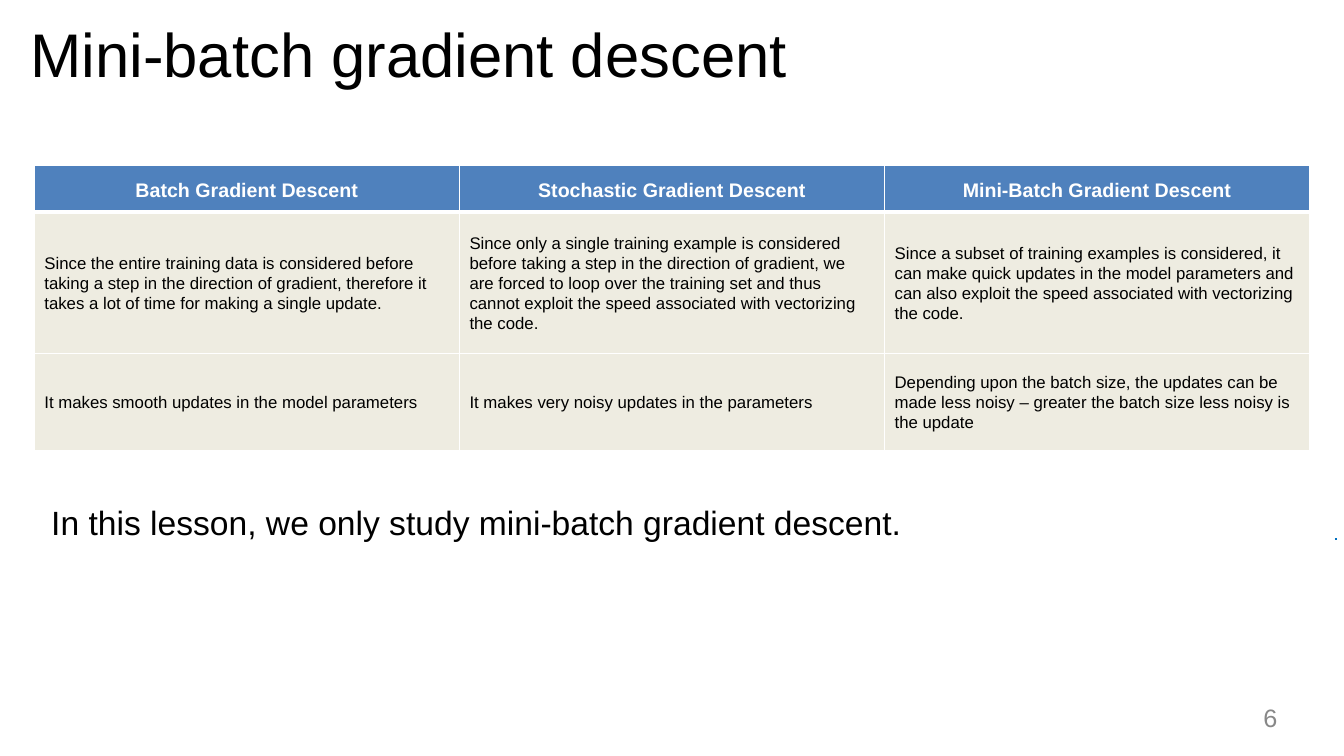
from lxml import etree
from pptx import Presentation
from pptx.dml.color import RGBColor
from pptx.enum.shapes import MSO_CONNECTOR
from pptx.enum.text import MSO_ANCHOR, PP_ALIGN
from pptx.oxml.ns import qn
from pptx.util import Inches, Pt

LEFT, CENTER, RIGHT = PP_ALIGN.LEFT, PP_ALIGN.CENTER, PP_ALIGN.RIGHT
BOTTOM, MIDDLE = MSO_ANCHOR.BOTTOM, MSO_ANCHOR.MIDDLE
STRAIGHT = MSO_CONNECTOR.STRAIGHT

SLIDE_WIDTH, SLIDE_HEIGHT = 13.33, 7.5
FONT = "Arial"
COLORS = {"text": "000000", "number": "888888", "header": "4F81BD",
          "body": "EEECE1", "white": "FFFFFF", "mark": "0070C0"}
ROW_HEIGHTS = [0.46, 1.41, 0.96]
COMPARISON = [
    ["Batch Gradient Descent", "Stochastic Gradient Descent",
     "Mini-Batch Gradient Descent"],
    ["Since the entire training data is considered before taking a step in the "
     "direction of gradient, therefore it takes a lot of time for making a single update.",
     "Since only a single training example is considered before taking a step in the "
     "direction of gradient, we are forced to loop over the training set and thus "
     "cannot exploit the speed associated with vectorizing the code.",
     "Since a subset of training examples is considered, it can make quick updates in "
     "the model parameters and can also exploit the speed associated with vectorizing "
     "the code."],
    ["It makes smooth updates in the model parameters",
     "It makes very noisy updates in the parameters",
     "Depending upon the batch size, the updates can be made less noisy – greater the "
     "batch size less noisy is the update"],
]


def write_text(frame, text, size, color="text", bold=False, align=LEFT, spacing=None):
    paragraph = frame.paragraphs[0]
    paragraph.alignment = align
    paragraph.line_spacing = spacing
    run = paragraph.add_run()
    run.text = text
    run.font.name = FONT
    run.font.size = Pt(size)
    run.font.bold = bold
    run.font.color.rgb = RGBColor.from_string(COLORS[color])


def add_text_box(slide, box, text, size, margins=(0, 0), **text_format):
    """Place text in box (left, top, width, height); margins are side and top."""
    frame = slide.shapes.add_textbox(*map(Inches, box)).text_frame
    frame.word_wrap = True
    side, top = map(Inches, margins)
    frame.margin_left = frame.margin_right = side
    frame.margin_top = frame.margin_bottom = top
    write_text(frame, text, size, **text_format)


def set_borders(cell, bottom, top):
    properties = cell._tc.get_or_add_tcPr()
    for tag, width in (("a:lnL", 1), ("a:lnR", 1), ("a:lnT", top), ("a:lnB", bottom)):
        line = etree.SubElement(properties, qn(tag), w=str(Pt(width)))
        fill = etree.SubElement(line, qn("a:solidFill"))
        etree.SubElement(fill, qn("a:srgbClr"), val=COLORS["white"])


def format_cell(cell, text, row_index):
    is_header = row_index == 0
    set_borders(cell, bottom=3 if is_header else 1, top=3 if row_index == 1 else 1)
    cell.fill.solid()
    cell.fill.fore_color.rgb = RGBColor.from_string(COLORS["header" if is_header else "body"])
    cell.vertical_anchor = BOTTOM if is_header else MIDDLE
    cell.margin_left = cell.margin_right = Inches(0.1)
    cell.margin_top = cell.margin_bottom = Inches(0.1 if is_header else 0.15)
    write_text(cell.text_frame, text, 14 if is_header else 12,
               color="white" if is_header else "text", bold=is_header,
               align=CENTER if is_header else LEFT, spacing=1.07)


def add_comparison_table(slide, left, top, width):
    column_count = len(COMPARISON[0])
    box = (left, top, width, sum(ROW_HEIGHTS))
    table = slide.shapes.add_table(len(COMPARISON), column_count, *map(Inches, box)).table
    for column in table.columns:
        column.width = Inches(width / column_count)
    for row_index, (height, texts) in enumerate(zip(ROW_HEIGHTS, COMPARISON)):
        table.rows[row_index].height = Inches(height)
        for column_index, text in enumerate(texts):
            format_cell(table.cell(row_index, column_index), text, row_index)


def add_edge_mark(slide, left, top, width):
    ends = (left, top, left + width, top)
    mark = slide.shapes.add_connector(STRAIGHT, *map(Inches, ends))
    mark.line.color.rgb = RGBColor.from_string(COLORS["mark"])
    mark.line.width = Pt(1.5)
    etree.SubElement(mark._element.spPr, qn("a:effectLst"))


def add_comparison_slide(presentation):
    slide = presentation.slides.add_slide(presentation.slide_layouts[6])
    add_text_box(slide, (0.3, 0.15, 10.74, 0.76), "Mini-batch gradient descent", 44,
                 margins=(0, 0.01))
    add_edge_mark(slide, 13.24, 5.35, 0.02)
    add_text_box(slide, (9.6, 6.97, 3.07, 0.3), "6", 18, color="number", align=RIGHT)
    add_comparison_table(slide, 0.34, 1.64, 12.65)
    add_text_box(slide, (0.41, 4.93, 12.58, 0.5),
                 "In this lesson, we only study mini-batch gradient descent.", 24,
                 margins=(0.1, 0.05))


def main():
    presentation = Presentation()
    presentation.slide_width = Inches(SLIDE_WIDTH)
    presentation.slide_height = Inches(SLIDE_HEIGHT)
    add_comparison_slide(presentation)
    presentation.save("out.pptx")


if __name__ == "__main__":
    main()
